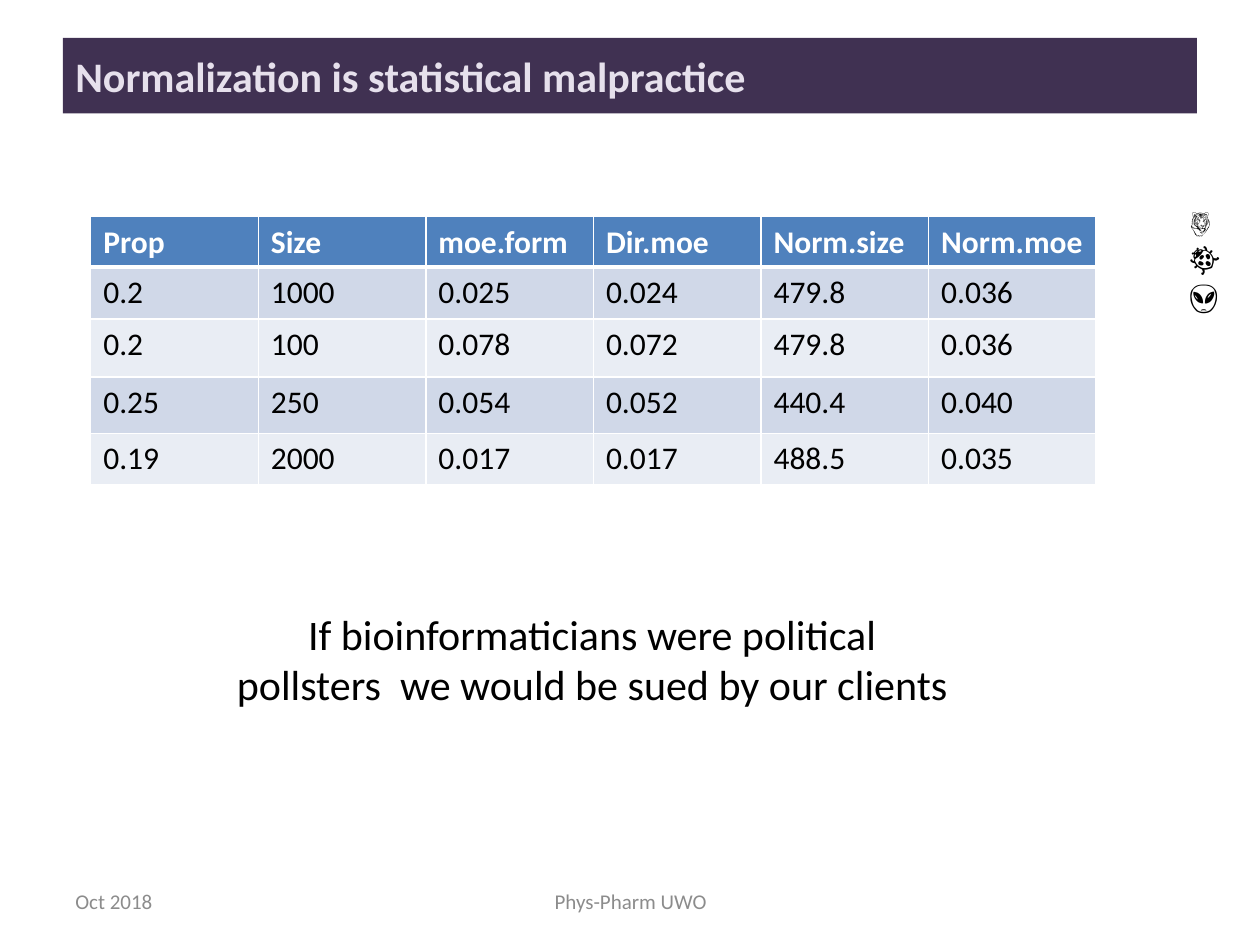
from lxml.etree import SubElement
from pptx import Presentation
from pptx.dml.color import RGBColor
from pptx.enum.shapes import MSO_SHAPE
from pptx.enum.text import MSO_ANCHOR as ANCHOR, PP_ALIGN as ALIGN
from pptx.oxml.ns import qn
from pptx.util import Inches, Pt

FONT = "Calibri"
WHITE = RGBColor(0xFF, 0xFF, 0xFF)
BLACK = RGBColor(0x00, 0x00, 0x00)
GREY = RGBColor(0x8C, 0x8C, 0x8C)
PURPLE = RGBColor(0x40, 0x31, 0x52)
LILAC = RGBColor(0xE6, 0xE0, 0xEC)
HEADER_BLUE = RGBColor(0x4F, 0x81, 0xBD)
BANDS = [RGBColor(0xD0, 0xD8, 0xE8), RGBColor(0xE9, 0xED, 0xF4)]

# Slide size and shared grid, in inches
WIDTH, HEIGHT = 10, 7.5
MARGIN = 0.05 * WIDTH
FOOTER_TOP, FOOTER_HEIGHT = 6.95, 0.4
COLUMN_WIDTH = 1.33
ROW_HEIGHTS = [0.4, 0.41, 0.46, 0.45, 0.41]

POLLS = [
    ["Prop", "Size", "moe.form", "Dir.moe", "Norm.size", "Norm.moe"],
    ["0.2", "1000", "0.025", "0.024", "479.8", "0.036"],
    ["0.2", "100", "0.078", "0.072", "479.8", "0.036"],
    ["0.25", "250", "0.054", "0.052", "440.4", "0.040"],
    ["0.19", "2000", "0.017", "0.017", "488.5", "0.035"],
]


def write(tf, *lines, size=18, color=BLACK, bold=False, align=ALIGN.LEFT):
    """Fill a text frame with one paragraph per line."""
    for i, line in enumerate(lines):
        p = tf.paragraphs[0] if i == 0 else tf.add_paragraph()
        p.alignment = align
        r = p.add_run()
        r.text = line
        r.font.name, r.font.size, r.font.bold = FONT, Pt(size), bold
        r.font.color.rgb = color


def add_text(s, box, *lines, anchor=ANCHOR.TOP, **style):
    tf = s.shapes.add_textbox(*map(Inches, box)).text_frame
    tf.word_wrap = True
    tf.vertical_anchor = anchor
    write(tf, *lines, **style)


def add_title(s, text):
    bar = s.shapes.add_shape(MSO_SHAPE.RECTANGLE, Inches(MARGIN), Inches(0.04 * HEIGHT),
                             Inches(WIDTH - 2 * MARGIN), Inches(0.08 * HEIGHT))
    bar.shadow.inherit = False
    bar.fill.solid()
    bar.fill.fore_color.rgb = PURPLE
    bar.line.fill.background()
    bar.text_frame.vertical_anchor = ANCHOR.MIDDLE
    write(bar.text_frame, text, size=24, color=LILAC, bold=True)


def set_borders(cell, **widths):
    """Draw white cell borders; widths are points keyed by side (L, R, T, B)."""
    tcPr = cell._tc.get_or_add_tcPr()
    for side, width in widths.items():
        ln = SubElement(tcPr, qn(f"a:ln{side}"), w=str(Pt(width)))
        fill = SubElement(ln, qn("a:solidFill"))
        SubElement(fill, qn("a:srgbClr"), val=str(WHITE))


def add_poll_table(s, left, top, rows):
    n_rows, n_cols = len(rows), len(rows[0])
    table = s.shapes.add_table(n_rows, n_cols, Inches(left), Inches(top),
                               Inches(n_cols * COLUMN_WIDTH),
                               Inches(sum(ROW_HEIGHTS))).table
    for column in table.columns:
        column.width = Inches(COLUMN_WIDTH)
    for i, values in enumerate(rows):
        table.rows[i].height = Inches(ROW_HEIGHTS[i])
        header = i == 0
        for j, value in enumerate(values):
            cell = table.cell(i, j)
            # Thick rule between the header and the body
            set_borders(cell, L=1, R=1, T=3 if i == 1 else 1, B=3 if header else 1)
            cell.fill.solid()
            cell.fill.fore_color.rgb = HEADER_BLUE if header else BANDS[(i - 1) % 2]
            write(cell.text_frame, value, color=WHITE if header else BLACK, bold=header)


def add_footer(s, left, width, text, align):
    add_text(s, (left, FOOTER_TOP, width, FOOTER_HEIGHT), text,
             anchor=ANCHOR.MIDDLE, size=12, color=GREY, align=align)


def main():
    prs = Presentation()
    prs.slide_width, prs.slide_height = Inches(WIDTH), Inches(HEIGHT)
    s = prs.slides.add_slide(prs.slide_layouts[6])

    add_title(s, "Normalization is statistical malpractice")

    # Poll results, with emoji markers beside them
    add_text(s, (9.34, 1.55, 0.54, 1.01), "🐯", "🐞", "👽")
    add_poll_table(s, 0.72, 1.72, POLLS)

    # Conclusion
    add_text(s, (1.76, 4.78, 5.88, 0.91),
             "If bioinformaticians were political pollsters  we would be sued by our clients",
             size=24, align=ALIGN.CENTER)

    # Footer
    add_footer(s, MARGIN, 2.33, "Oct 2018", ALIGN.LEFT)
    add_footer(s, 3.42, 3.17, "Phys-Pharm UWO", ALIGN.CENTER)

    prs.save("out.pptx")


if __name__ == "__main__":
    main()
